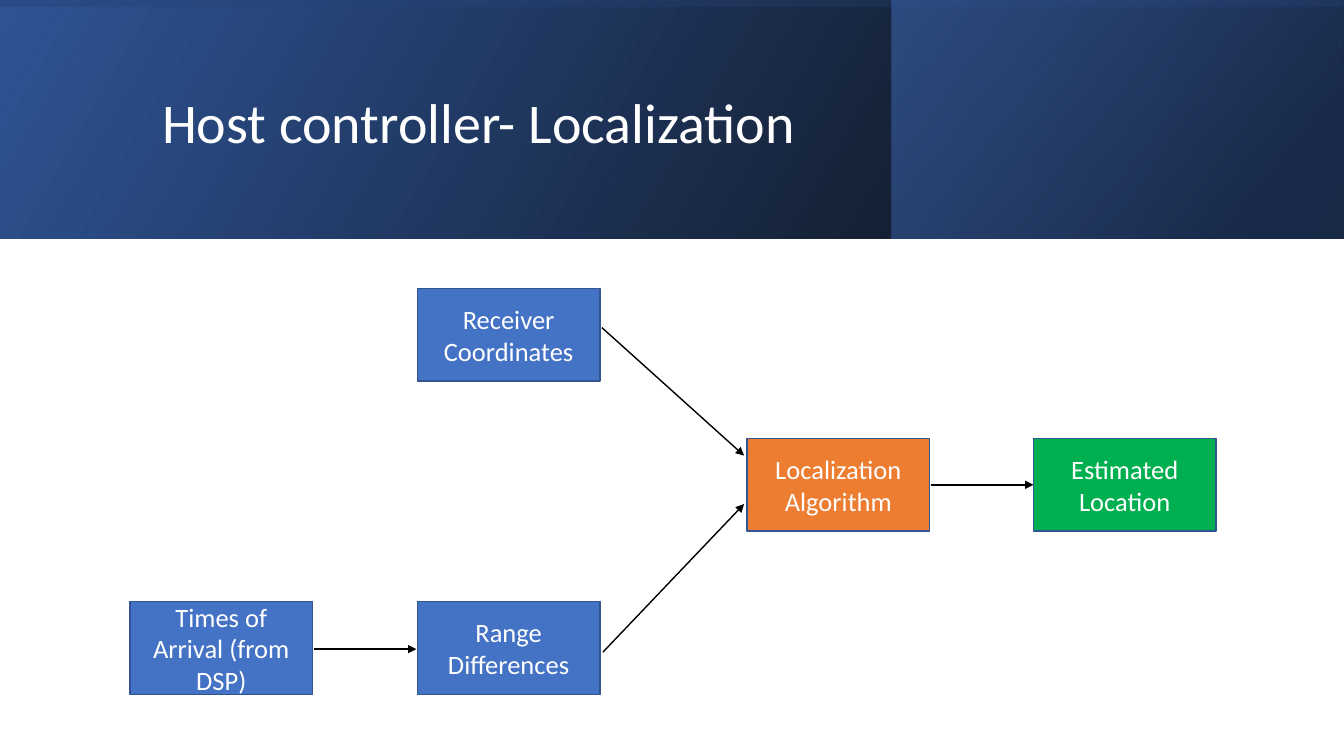
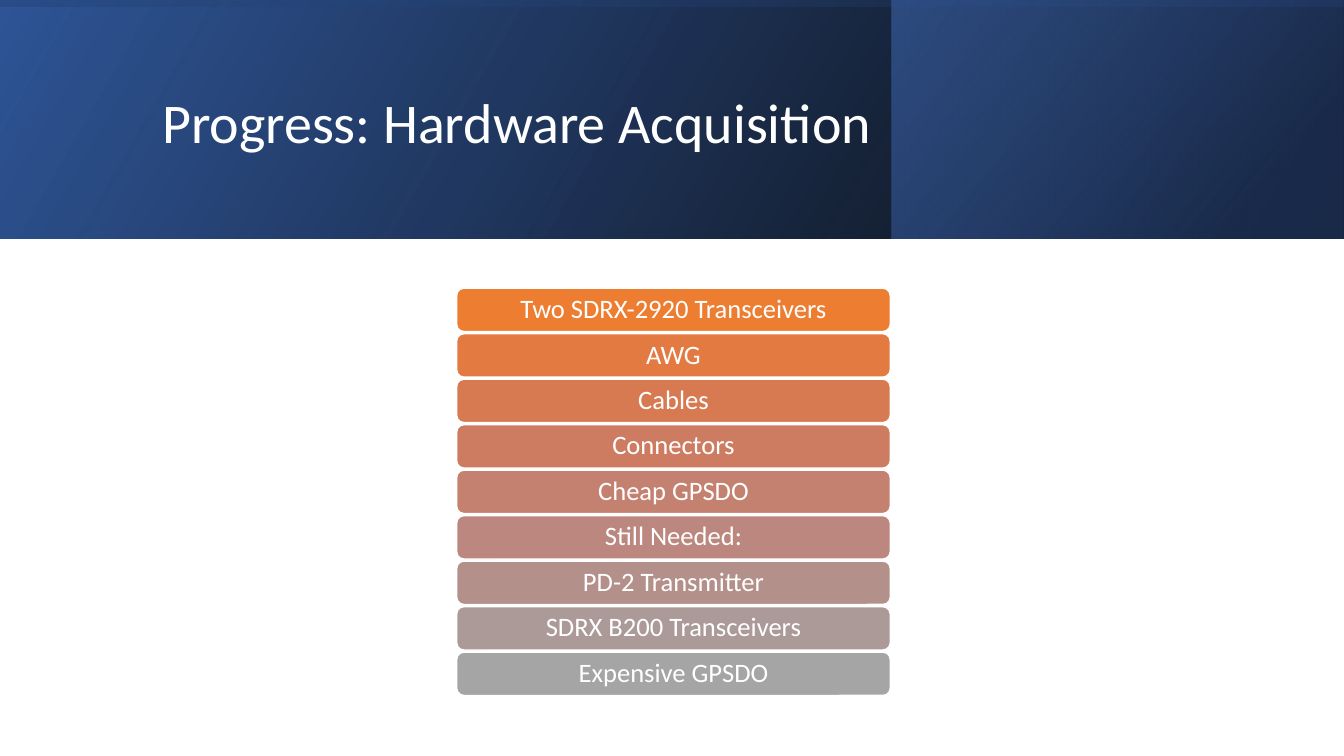
from lxml.etree import SubElement
from pptx import Presentation
from pptx.dml.color import RGBColor
from pptx.enum.shapes import MSO_CONNECTOR as Connector, MSO_SHAPE as Shape
from pptx.enum.text import MSO_ANCHOR as Anchor, PP_ALIGN as Align
from pptx.oxml.ns import qn
from pptx.util import Inches, Pt

FONT = "Calibri"
WHITE = RGBColor(0xFF, 0xFF, 0xFF)
BLACK = RGBColor(0x00, 0x00, 0x00)
NAVY = RGBColor(0x20, 0x38, 0x64)
DEEP_BLUE = RGBColor(0x2F, 0x55, 0x97)
BLUE = RGBColor(0x44, 0x72, 0xC4)
OUTLINE = RGBColor(0x32, 0x54, 0x91)
ORANGE = RGBColor(0xED, 0x7D, 0x31)
GREEN = RGBColor(0x00, 0xB0, 0x50)

SLIDE_WIDTH, SLIDE_HEIGHT = 13.33, 7.5
BAND_HEIGHT = 2.37
BOX_WIDTH, BOX_HEIGHT = 1.81, 0.92

FLOW_AREA = (1.29, 2.86)
FLOW_BOXES = [
    ("Times of Arrival (from DSP)", 0, 3.11, BLUE),
    ("Receiver Coordinates", 2.85, 0, BLUE),
    ("Range Differences", 2.85, 3.11, BLUE),
    ("Localization Algorithm", 6.12, 1.49, ORANGE),
    ("Estimated Location", 8.96, 1.49, GREEN),
]
FLOW_ARROWS = [
    (1.82, 3.58, 2.84, 3.58),
    (4.69, 3.61, 6.09, 2.14),
    (4.68, 0.39, 6.09, 1.66),
    (7.94, 1.95, 8.96, 1.95),
]

LIST_AREA = (4.53, 2.86, 4.3, 4.04)
HARDWARE = [
    ("Two SDRX-2920 Transceivers", ORANGE),
    ("AWG", RGBColor(0xE2, 0x7A, 0x42)),
    ("Cables", RGBColor(0xD8, 0x7A, 0x51)),
    ("Connectors", RGBColor(0xCE, 0x7C, 0x61)),
    ("Cheap GPSDO", RGBColor(0xC4, 0x81, 0x70)),
    ("Still Needed:", RGBColor(0xBC, 0x87, 0x7E)),
    ("PD-2 Transmitter", RGBColor(0xB4, 0x90, 0x8B)),
    ("SDRX B200 Transceivers", RGBColor(0xAC, 0x9A, 0x99)),
    ("Expensive GPSDO", RGBColor(0xA5, 0xA5, 0xA5)),
]


def write_text(shape, text, size, align=Align.CENTER, line_spacing=None):
    frame = shape.text_frame
    frame.word_wrap = True
    frame.vertical_anchor = Anchor.MIDDLE
    frame.text = text
    paragraph = frame.paragraphs[0]
    paragraph.alignment = align
    paragraph.line_spacing = line_spacing
    font = paragraph.runs[0].font
    font.name, font.size = FONT, Pt(size)
    font.color.rgb = WHITE
    return frame


def add_box(slide, kind, box, fill, line):
    shape = slide.shapes.add_shape(kind, *map(Inches, box))
    shape.shadow.inherit = False
    shape.fill.solid()
    shape.fill.fore_color.rgb = fill
    shape.line.color.rgb = line
    shape.line.width = Pt(1)
    return shape


def add_gradient_panel(slide, box, stops, angle, rotation=0):
    panel = slide.shapes.add_shape(Shape.RECTANGLE, *map(Inches, box))
    panel.shadow.inherit = False
    panel.rotation = rotation
    panel._element.spPr.find(qn("a:xfrm")).set("flipH", "1")
    panel.line.fill.background()
    panel.fill.gradient()
    panel.fill.gradient_angle = 360 - angle
    for stop, (position, color, opacity) in zip(panel.fill.gradient_stops, stops):
        stop.position = position
        stop.color.rgb = color
    for color_element, (_, _, opacity) in zip(panel._element.iter(qn("a:srgbClr")), stops):
        SubElement(color_element, qn("a:alpha")).set("val", str(opacity * 1000))


def add_arrow(slide, ends):
    arrow = slide.shapes.add_connector(Connector.STRAIGHT, *map(Inches, ends))
    arrow.line.color.rgb = BLACK
    arrow.line.width = Pt(1)
    SubElement(arrow.line._get_or_add_ln(), qn("a:tailEnd")).set("type", "triangle")
    SubElement(arrow._element.spPr, qn("a:effectLst"))


def add_title_band(slide, title):
    add_gradient_panel(slide, (0, 0, SLIDE_WIDTH, BAND_HEIGHT),
                       [(0, BLACK, 96), (1, DEEP_BLUE, 100)], 330)
    add_gradient_panel(slide, (8.84, 0, 4.48, BAND_HEIGHT),
                       [(0.19, NAVY, 68), (1, BLUE, 48)], 320)
    offset = (SLIDE_WIDTH - BAND_HEIGHT) / 2
    add_gradient_panel(slide, (offset, -offset, BAND_HEIGHT, SLIDE_WIDTH),
                       [(0.23, DEEP_BLUE, 16), (0.99, BLACK, 45)], 350, 270)
    title_box = slide.shapes.add_textbox(*map(Inches, (1.51, 0.38, 10.63, 1.72)))
    write_text(title_box, title, 40, Align.LEFT, 0.9)


def add_flow(slide, area):
    left, top = area
    for text, x, y, color in FLOW_BOXES:
        box = (left + x, top + y, BOX_WIDTH, BOX_HEIGHT)
        shape = add_box(slide, Shape.RECTANGLE, box, color, OUTLINE)
        frame = write_text(shape, text, 18.9)
        frame.paragraphs[0].space_after = Pt(6)
    for x1, y1, x2, y2 in FLOW_ARROWS:
        add_arrow(slide, (left + x1, top + y1, left + x2, top + y2))


def add_hardware_list(slide, area):
    left, top, width, height = area
    bar_height = 0.43
    pitch = (height - bar_height) / (len(HARDWARE) - 1)
    for index, (text, color) in enumerate(HARDWARE):
        box = (left, top + index * pitch, width, bar_height)
        bar = add_box(slide, Shape.ROUNDED_RECTANGLE, box, color, WHITE)
        frame = write_text(bar, text, 19, line_spacing=0.9)
        frame.margin_left = frame.margin_right = Inches(0.1)
        frame.margin_top = frame.margin_bottom = Inches(0.06)


def main():
    presentation = Presentation()
    presentation.slide_width = Inches(SLIDE_WIDTH)
    presentation.slide_height = Inches(SLIDE_HEIGHT)
    for title, add_content, area in [
        ("Host controller- Localization", add_flow, FLOW_AREA),
        ("Progress: Hardware Acquisition", add_hardware_list, LIST_AREA),
    ]:
        slide = presentation.slides.add_slide(presentation.slide_layouts[6])
        add_title_band(slide, title)
        add_content(slide, area)
    presentation.save("out.pptx")


if __name__ == "__main__":
    main()
